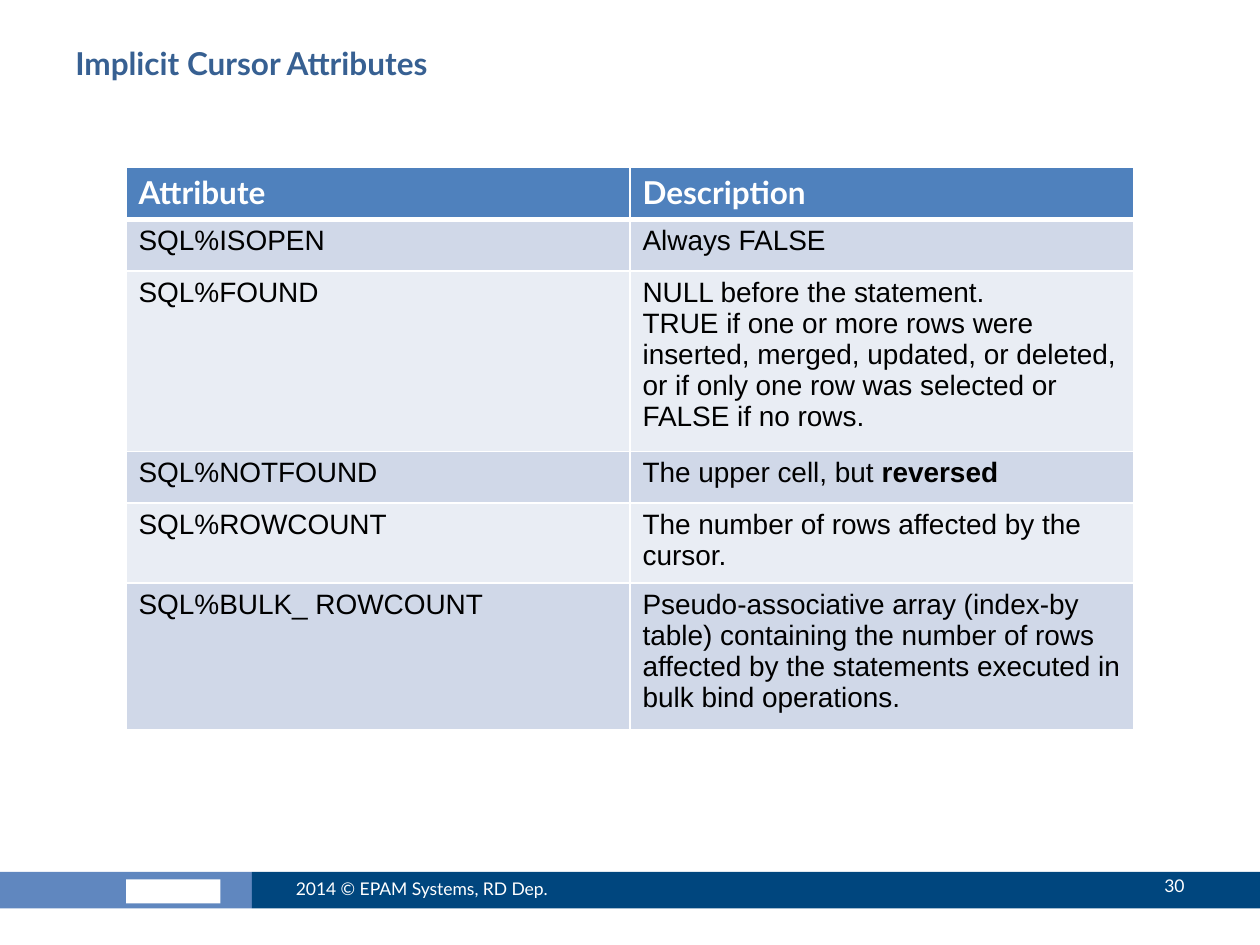
from lxml import etree
from pptx import Presentation
from pptx.dml.color import RGBColor
from pptx.enum.shapes import MSO_SHAPE
from pptx.enum.text import MSO_ANCHOR, PP_ALIGN
from pptx.oxml.ns import qn
from pptx.util import Inches, Pt

RECT = MSO_SHAPE.RECTANGLE
TOP, MIDDLE = MSO_ANCHOR.TOP, MSO_ANCHOR.MIDDLE
LEFT, RIGHT = PP_ALIGN.LEFT, PP_ALIGN.RIGHT

WHITE = RGBColor(0xFF, 0xFF, 0xFF)
BLACK = RGBColor(0x00, 0x00, 0x00)
NAVY = RGBColor(0x00, 0x46, 0x7E)
STEEL = RGBColor(0x60, 0x87, 0xBF)
TITLE_BLUE = RGBColor(0x37, 0x60, 0x92)
HEAD_BLUE = RGBColor(0x4F, 0x81, 0xBD)
BAND_DARK = RGBColor(0xD0, 0xD8, 0xE8)
BAND_LIGHT = RGBColor(0xE9, 0xED, 0xF4)

TITLE = {"name": "Lato", "size": Pt(18), "bold": True}
FOOTER = {"name": "Lato", "size": Pt(10), "bold": False}
BODY = {"name": "Arial", "size": Pt(16), "bold": False}

prs = Presentation()
prs.slide_width, prs.slide_height = Inches(10), Inches(7.5)
COL = prs.slide_width // 20
s = prs.slides.add_slide(prs.slide_layouts[6])


def add_run(p, text, fmt, color):
    r = p.add_run()
    r.text = text
    for name, value in fmt.items():
        setattr(r.font, name, value)
    r.font.color.rgb = color


def set_border(cell, side, width):
    ln = etree.SubElement(cell._tc.get_or_add_tcPr(), qn(f"a:ln{side}"), w=str(Pt(width)))
    fill = etree.SubElement(ln, qn("a:solidFill"))
    etree.SubElement(fill, qn("a:srgbClr"), val=str(WHITE))


# Footer bars, with a plain block in the logo's place
for x, y, w, h, color in [
    (0, 6.92, 4, 0.29, STEEL),
    (2, 6.98, 1.5, 0.19, WHITE),
    (4, 6.92, 16, 0.29, NAVY),
]:
    sp = s.shapes.add_shape(RECT, int(x * COL), Inches(y), int(w * COL), Inches(h))
    sp.shadow.inherit = False
    sp.fill.solid()
    sp.fill.fore_color.rgb = color
    sp.line.fill.background()

# Title, copyright line and page number
for text, x, y, w, h, fmt, color, anchor, align in [
    ("Implicit Cursor Attributes", 1, 0.3, 18, 0.78, TITLE, TITLE_BLUE, TOP, LEFT),
    ("2014 © EPAM Systems, RD Dep.", 4.5, 6.85, 5.34, 0.4, FOOTER, WHITE, MIDDLE, LEFT),
    ("30", 16.84, 6.83, 2.16, 0.4, FOOTER, WHITE, MIDDLE, RIGHT),
]:
    tf = s.shapes.add_textbox(int(x * COL), Inches(y), int(w * COL), Inches(h)).text_frame
    tf.word_wrap = True
    tf.vertical_anchor = anchor
    tf.paragraphs[0].alignment = align
    add_run(tf.paragraphs[0], text, fmt, color)

# Attribute table: each cell is a list of paragraphs, ** marks bold
ROWS = [
    (["Attribute"], ["Description"]),
    (["SQL%ISOPEN"], ["Always FALSE"]),
    (["SQL%FOUND"], [
        "NULL before the statement.",
        "TRUE if one or more rows were inserted, merged, updated, or deleted, "
        "or if only one row was selected or FALSE if no rows.",
    ]),
    (["SQL%NOTFOUND"], ["The upper cell, but **reversed"]),
    (["SQL%ROWCOUNT"], ["The number of rows affected by the cursor."]),
    (["SQL%BULK_ ROWCOUNT"], [
        "Pseudo-associative array (index-by table) containing the number of rows "
        "affected by the statements executed in bulk bind operations.",
    ]),
]
ROW_H = Inches(0.41)
table = s.shapes.add_table(len(ROWS), 2, 2 * COL, Inches(1.33), 16 * COL, ROW_H * len(ROWS)).table
for i, row in enumerate(ROWS):
    table.rows[i].height = ROW_H
    head = i == 0
    fmt, color = (TITLE, WHITE) if head else (BODY, BLACK)
    band = HEAD_BLUE if head else BAND_DARK if i % 2 else BAND_LIGHT
    for j, paragraphs in enumerate(row):
        cell = table.cell(i, j)
        for side in "LRTB":
            thick = (head and side == "B") or (i == 1 and side == "T")
            set_border(cell, side, 3 if thick else 1)
        cell.fill.solid()
        cell.fill.fore_color.rgb = band
        tf = cell.text_frame
        for k, text in enumerate(paragraphs):
            p = tf.add_paragraph() if k else tf.paragraphs[0]
            for n, part in enumerate(text.split("**")):
                add_run(p, part, {**fmt, "bold": head or n == 1}, color)

prs.save("out.pptx")
